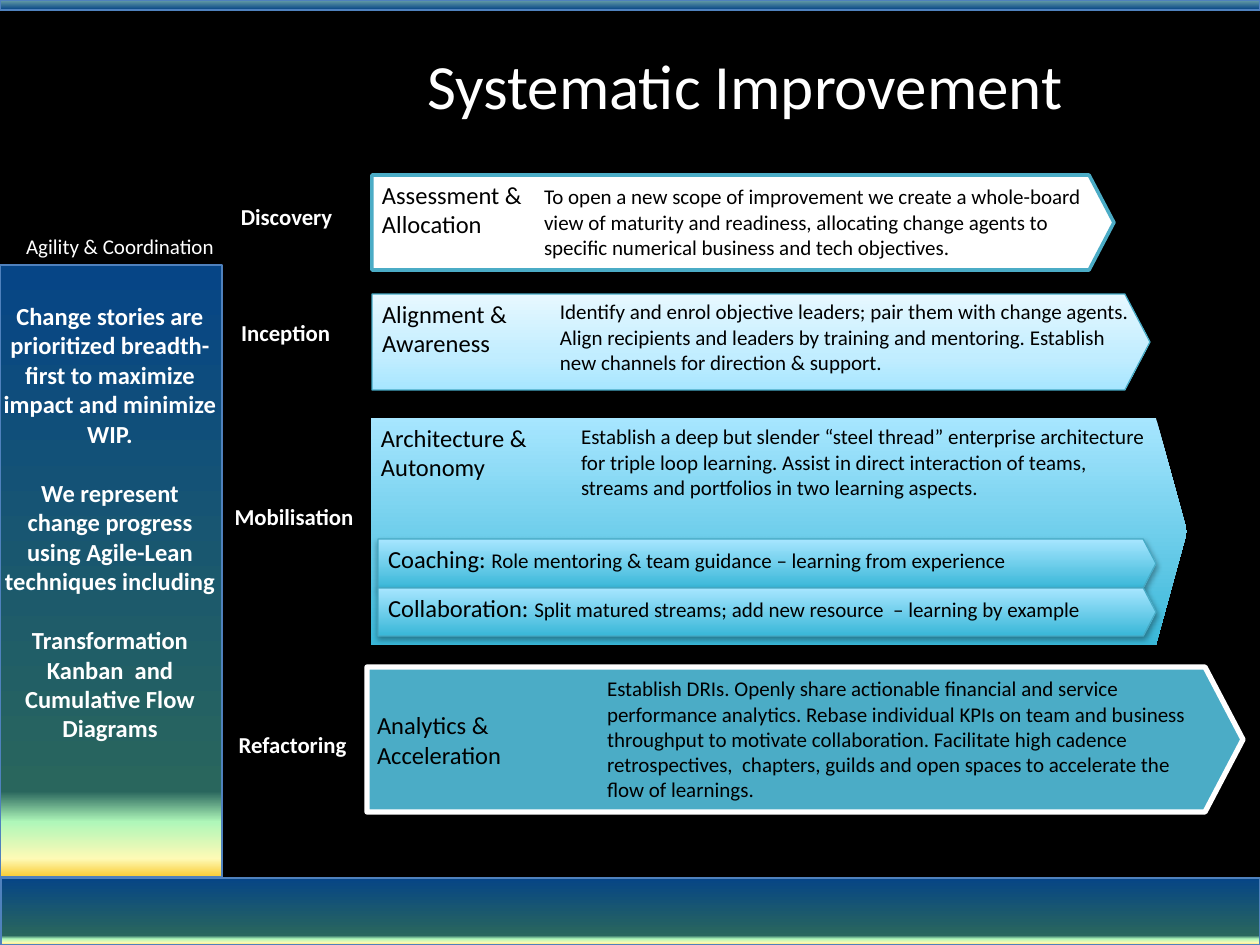
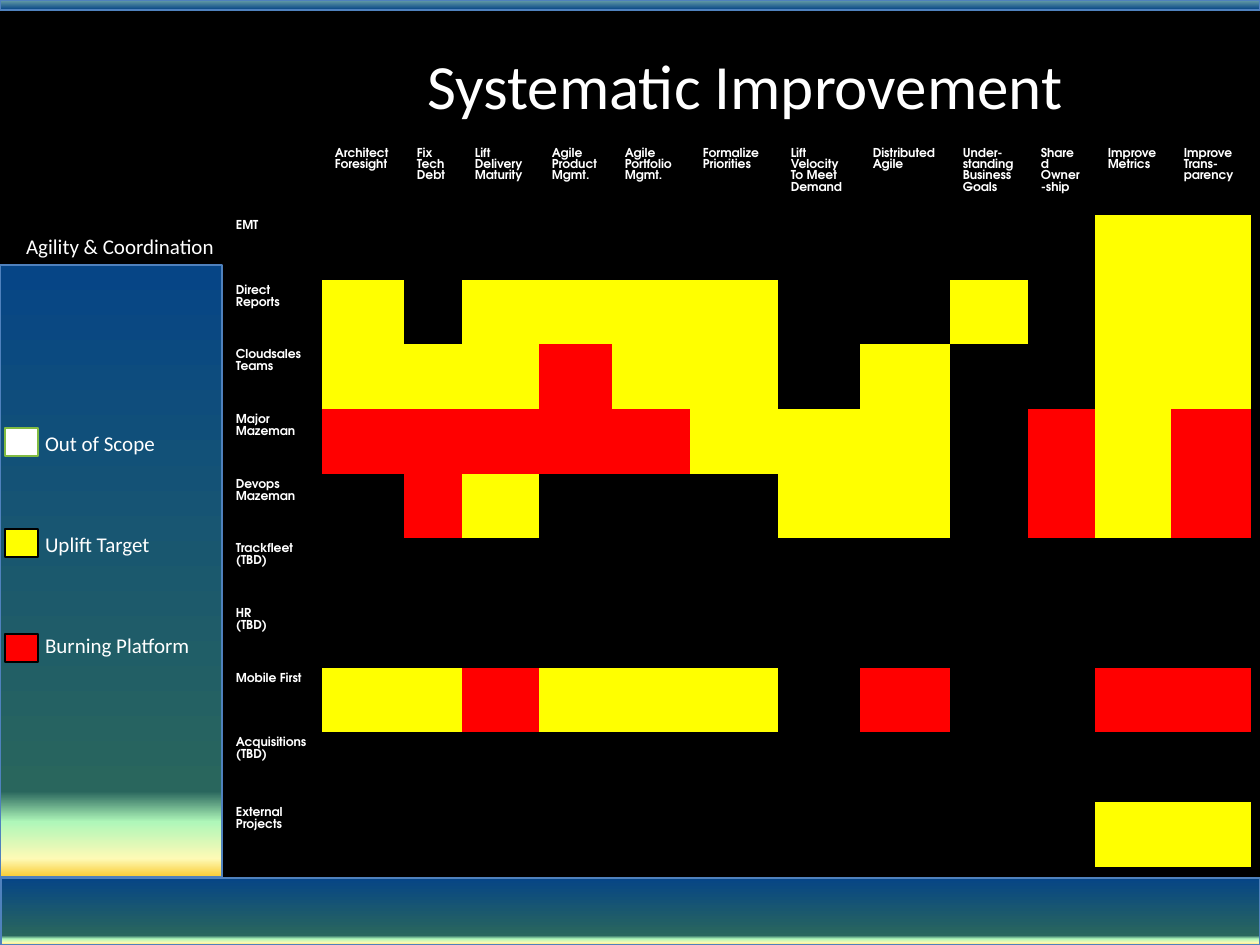
from dataclasses import dataclass
from typing import Optional, Union

from lxml import etree
from pptx import Presentation
from pptx.dml.color import RGBColor
from pptx.enum.shapes import MSO_SHAPE
from pptx.enum.text import MSO_ANCHOR, PP_ALIGN
from pptx.oxml.ns import qn
from pptx.util import Pt

RECT, ARROW = MSO_SHAPE.RECTANGLE, MSO_SHAPE.PENTAGON
TOP, MIDDLE = MSO_ANCHOR.TOP, MSO_ANCHOR.MIDDLE
LEFT, CENTER = PP_ALIGN.LEFT, PP_ALIGN.CENTER

# Shared look
PX = 914400 / 126
BODY_FONT, GRID_FONT = "Calibri", "TeX Gyre Adventor"
NO_TABLE_STYLE = "{2D5ABB26-0587-4C30-8999-92F81FD0307C}"
BLACK = RGBColor(0x00, 0x00, 0x00)
WHITE = RGBColor(0xFF, 0xFF, 0xFF)
YELLOW = RGBColor(0xFF, 0xFF, 0x00)
RED = RGBColor(0xFF, 0x00, 0x00)
BAND_EDGE = RGBColor(0x4F, 0x81, 0xBD)
ARROW_EDGE = RGBColor(0x46, 0xAA, 0xC5)
TEAL = RGBColor(0x4B, 0xAC, 0xC6)
GREEN = RGBColor(0x81, 0xBB, 0x42)
NAVY = RGBColor(0x06, 0x45, 0x86)
SKY = RGBColor(0xA7, 0xE6, 0xFF)
CYAN = RGBColor(0x39, 0xB7, 0xD8)

# Gradients run from top to bottom: (percent, colour)
Stops = tuple[tuple[int, RGBColor], ...]
Paint = Union[RGBColor, Stops]
TOP_STOPS: Stops = (
    (0, RGBColor(0x18, 0x4F, 0x7B)), (3, RGBColor(0x24, 0x76, 0xB9)),
    (9, RGBColor(0x4A, 0x9B, 0xDC)), (14, RGBColor(0x5A, 0x93, 0xA3)), (100, NAVY))
HORIZON_STOPS: Stops = (
    (0, NAVY), (86, RGBColor(0x29, 0x66, 0x5D)), (91, RGBColor(0xAF, 0xF7, 0xB9)),
    (97, RGBColor(0xFE, 0xFA, 0xB6)), (100, RGBColor(0xFA, 0xCB, 0x33)))
PALE_STOPS: Stops = (
    (0, RGBColor(0xE7, 0xF8, 0xFF)), (65, RGBColor(0xC1, 0xED, 0xFF)), (100, SKY))
CYAN_STOPS: Stops = ((0, SKY), (100, CYAN))


@dataclass(frozen=True)
class Area:
    left: int
    top: int
    width: int
    height: int

    def emu(self) -> list[int]:
        return [round(n * PX) for n in (self.left, self.top, self.width, self.height)]


@dataclass(frozen=True)
class Span:
    text: str
    size: int
    color: RGBColor = BLACK
    bold: bool = False
    font: str = BODY_FONT


@dataclass(frozen=True)
class Stage:
    area: Area
    paras: tuple[tuple[Span, ...], ...]
    paint: Paint
    edge: Optional[RGBColor] = None
    edge_width: float = 0.75
    point: float = 0.262
    shadow: int = 0
    anchor: MSO_ANCHOR = TOP


@dataclass(frozen=True)
class Note:
    area: Area
    text: str


@dataclass(frozen=True)
class Key:
    text: str
    paint: RGBColor
    edge: RGBColor
    top: int


def write(frame, paras, align=LEFT, anchor=TOP, inset=(10, 5), gap=0.0, spacing=None) -> None:
    """Fill a text frame; a newline in a span becomes a line break."""
    frame.word_wrap = True
    frame.vertical_anchor = anchor
    frame.margin_left = frame.margin_right = round(inset[0] * PX)
    frame.margin_top = frame.margin_bottom = round(inset[1] * PX)
    for index, spans in enumerate(paras):
        para = frame.add_paragraph() if index else frame.paragraphs[0]
        para.alignment = align
        if spacing:
            para.line_spacing = spacing
        if index and gap:
            para.space_before = Pt(gap)
        for span in spans:
            for number, line in enumerate(span.text.split("\n")):
                if number:
                    para.add_line_break()
                run = para.add_run()
                run.text = line
                run.font.name, run.font.size = span.font, Pt(span.size)
                run.font.bold, run.font.color.rgb = span.bold, span.color


def add_text(page, area: Area, paras, **style) -> None:
    box = page.shapes.add_textbox(*area.emu())
    write(box.text_frame, paras, **style)


def add_gradient(shape, stops: Stops) -> None:
    shape.fill.gradient()
    shape.fill.gradient_angle = 270
    stop_list = shape._element.spPr.find(qn("a:gradFill")).find(qn("a:gsLst"))
    for old in list(stop_list):
        stop_list.remove(old)
    for percent, color in stops:
        stop = etree.SubElement(stop_list, qn("a:gs"), pos=str(percent * 1000))
        etree.SubElement(stop, qn("a:srgbClr"), val=str(color))


def add_shadow(shape, opacity: int) -> None:
    effects = shape._element.spPr.find(qn("a:effectLst"))
    shadow = etree.SubElement(effects, qn("a:outerShdw"), blurRad=str(Pt(3.1)),
                              dist=str(Pt(1.6)), dir="5400000", rotWithShape="0")
    color = etree.SubElement(shadow, qn("a:srgbClr"), val=str(BLACK))
    etree.SubElement(color, qn("a:alpha"), val=str(opacity * 1000))


def add_block(page, kind, area: Area, paint: Paint, edge=None, edge_width=0.75):
    shape = page.shapes.add_shape(kind, *area.emu())
    shape.shadow.inherit = False
    if isinstance(paint, RGBColor):
        shape.fill.solid()
        shape.fill.fore_color.rgb = paint
    else:
        add_gradient(shape, paint)
    if edge is None:
        shape.line.fill.background()
    else:
        shape.line.color.rgb = edge
        shape.line.width = Pt(edge_width)
    return shape


def add_page(deck):
    """Add a page with the bands, side panel and title that all pages share."""
    page = deck.slides.add_slide(deck.slide_layouts[6])
    page.background.fill.solid()
    page.background.fill.fore_color.rgb = BLACK
    add_block(page, RECT, Area(0, 0, 1260, 10), TOP_STOPS, BAND_EDGE)
    add_block(page, RECT, Area(1, 878, 1259, 67), HORIZON_STOPS, BAND_EDGE)
    heading = add_block(page, RECT, Area(4, 228, 232, 37), BLACK)
    write(heading.text_frame, [[Span("Agility & Coordination", 12, WHITE)]], CENTER, MIDDLE)
    add_block(page, RECT, Area(0, 265, 222, 612), HORIZON_STOPS, BAND_EDGE)
    add_text(page, Area(237, 53, 1016, 73), [[Span("Systematic Improvement", 36, WHITE)]],
             align=CENTER, anchor=MIDDLE, spacing=0.9)
    return page


def add_stage(page, stage: Stage) -> None:
    arrow = add_block(page, ARROW, stage.area, stage.paint, stage.edge, stage.edge_width)
    arrow.adjustments[0] = stage.point
    if stage.shadow:
        add_shadow(arrow, stage.shadow)
    write(arrow.text_frame, stage.paras, anchor=stage.anchor)


def headed(*lines: str) -> tuple[tuple[Span, ...], ...]:
    return tuple((Span(line, 14),) for line in lines)


def aspect(name: str, text: str) -> tuple[tuple[Span, ...], ...]:
    return ((Span(name, 14), Span(text, 12)),)


# Stages page
SIDE_TEXT = (
    "Change stories are prioritized breadth-first to maximize impact and minimize WIP.",
    "We represent\nchange progress using Agile-Lean techniques including",
    "Transformation Kanban  and Cumulative Flow Diagrams",
)
LABELS = (
    Note(Area(218, 198, 137, 38), "Discovery"),
    Note(Area(218, 314, 135, 38), "Inception"),
    Note(Area(218, 498, 152, 38), "Mobilisation"),
    Note(Area(219, 726, 147, 38), "Refactoring"),
)
STAGES = (
    Stage(Area(372, 294, 778, 96), headed("Alignment &", "Awareness"), PALE_STOPS,
          ARROW_EDGE, shadow=38),
    Stage(Area(372, 175, 742, 95), headed("Assessment &", "Allocation"), WHITE, TEAL, 2),
    Stage(Area(371, 418, 816, 227), headed("Architecture &", "Autonomy"), CYAN_STOPS,
          point=0.137, shadow=35),
    Stage(Area(378, 539, 778, 49),
          aspect("Coaching: ", "Role mentoring & team guidance – learning from experience"),
          CYAN_STOPS, ARROW_EDGE, shadow=35),
    Stage(Area(378, 588, 778, 48),
          aspect("Collaboration: ",
                 "Split matured streams; add new resource  – learning by example"),
          CYAN_STOPS, ARROW_EDGE, shadow=35),
    Stage(Area(367, 667, 876, 145), headed("Analytics &", "Acceleration"), TEAL, WHITE, 3,
          shadow=38, anchor=MIDDLE),
)
DETAILS = (
    Note(Area(534, 179, 558, 87),
         "To open a new scope of improvement we create a whole-board view of maturity and "
         "readiness, allocating change agents to specific numerical business and tech "
         "objectives."),
    Note(Area(550, 294, 593, 87),
         "Identify and enrol objective leaders; pair them with change agents. Align "
         "recipients and leaders by training and mentoring. Establish new channels for "
         "direction & support."),
    Note(Area(571, 419, 598, 87),
         "Establish a deep but slender “steel thread” enterprise architecture for triple "
         "loop learning. Assist in direct interaction of teams, streams and portfolios in "
         "two learning aspects."),
    Note(Area(597, 671, 614, 164),
         "Establish DRIs. Openly share actionable financial and service performance "
         "analytics. Rebase individual KPIs on team and business throughput to motivate "
         "collaboration. Facilitate high cadence retrospectives,  chapters, guilds and open "
         "spaces to accelerate the flow of learnings."),
)


def build_stages(deck) -> None:
    page = add_page(deck)
    add_text(page, Area(-8, 296, 236, 456),
             [[Span(text, 14, WHITE, True)] for text in SIDE_TEXT], align=CENTER, gap=17)
    for label in LABELS:
        add_text(page, label.area, [[Span(label.text, 13, WHITE, True)]], align=CENTER)
    for stage in STAGES:
        add_stage(page, stage)
    for detail in DETAILS:
        add_text(page, detail.area, [[Span(detail.text, 12)]])


# Heat map page: Y is an uplift target, R a burning platform
COLUMN_WIDTHS = (99, 82, 58, 77, 73, 78, 88, 82, 90, 78, 67, 76, 80)
ROW_HEIGHTS = (73, 65, 64, 65, 65, 64, 65, 65, 64, 70, 65)
GOALS = ("", "Architect Foresight", "Fix Tech Debt", "Lift|Delivery|Maturity",
         "Agile|Product|Mgmt.", "Agile|Portfolio|Mgmt.", "Formalize|Priorities",
         "Lift Velocity To Meet Demand", "Distributed|Agile",
         "Under-standing|Business|Goals", "Shared Owner-ship", "Improve Metrics",
         "Improve Trans-parency")
TEAMS = (
    ("EMT", "..........YY"),
    ("Direct|Reports", "Y.YYYY..Y.YY"),
    ("Cloudsales Teams", "YYYRYY.Y..YY"),
    ("Major|Mazeman", "RRRRRYYY.RYR"),
    ("Devops|Mazeman", ".RY...YY.RYR"),
    ("Trackfleet|(TBD)", "." * 12),
    ("HR|(TBD)", "." * 12),
    ("Mobile First", "YYRYYY.R..RR"),
    ("Acquisitions|(TBD)", "." * 12),
    ("External|Projects", "..........YY"),
)
MARKS = {"Y": YELLOW, "R": RED}
KEYS = (Key("Out of Scope", WHITE, GREEN, 428), Key("Uplift Target", YELLOW, BLACK, 529),
        Key("Burning Platform", RED, BLACK, 634))


def write_cell(cell, text: str) -> None:
    lines = [[Span(line, 7, WHITE, True, GRID_FONT)] for line in text.split("|")]
    write(cell.text_frame, lines if text else [])
    cell.margin_left = cell.margin_right = round(13 * PX)
    cell.margin_top = cell.margin_bottom = round(6 * PX)
    cell.vertical_anchor = TOP


def add_heat_map(page) -> None:
    area = Area(223, 142, sum(COLUMN_WIDTHS), sum(ROW_HEIGHTS))
    table = page.shapes.add_table(len(ROW_HEIGHTS), len(COLUMN_WIDTHS), *area.emu()).table
    table.first_row = table.horz_banding = False
    table._tbl.tblPr.find(qn("a:tableStyleId")).text = NO_TABLE_STYLE
    for column, width in zip(table.columns, COLUMN_WIDTHS):
        column.width = round(width * PX)
    for row, height in zip(table.rows, ROW_HEIGHTS):
        row.height = round(height * PX)
    for cell in table.iter_cells():
        cell.fill.background()
    for index, goal in enumerate(GOALS):
        write_cell(table.cell(0, index), goal)
    for row, (team, marks) in enumerate(TEAMS, start=1):
        write_cell(table.cell(row, 0), team)
        for column, mark in enumerate(marks, start=1):
            if mark in MARKS:
                fill = table.cell(row, column).fill
                fill.solid()
                fill.fore_color.rgb = MARKS[mark]


def build_heat_map(deck) -> None:
    page = add_page(deck)
    add_heat_map(page)
    for index, key in enumerate(KEYS):
        add_block(page, RECT, Area(5, key.top, 33, 28), key.paint, key.edge, 1)
        add_text(page, Area(35, 424 + 101 * index, 180, 38), [[Span(key.text, 12, WHITE)]],
                 anchor=MIDDLE)


def main() -> None:
    deck = Presentation()
    deck.slide_width, deck.slide_height = round(1260 * PX), round(945 * PX)
    build_stages(deck)
    build_heat_map(deck)
    deck.save("out.pptx")


if __name__ == "__main__":
    main()
